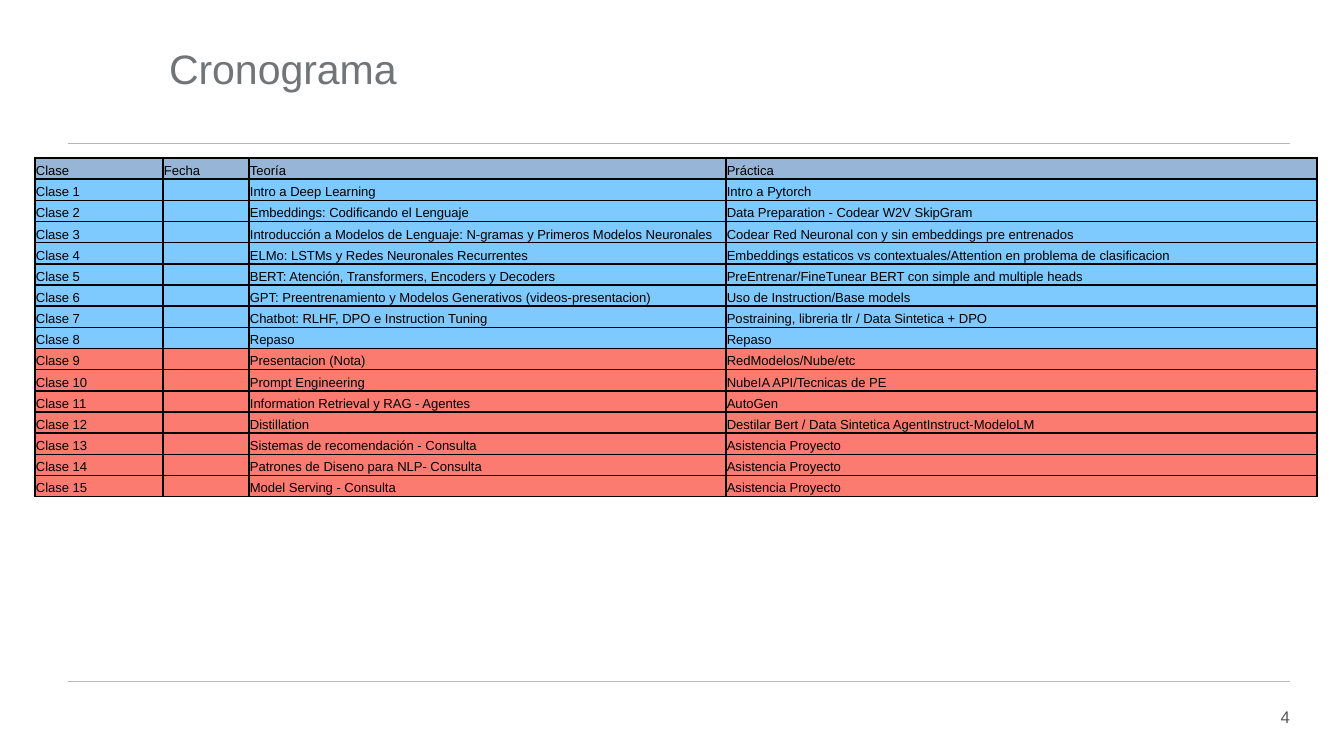
import pptx
import pptx.dml.color
import pptx.enum.shapes
import pptx.enum.text
import pptx.oxml.ns
import pptx.util
from lxml import etree

WIDTH, HEIGHT = 1344, 756
EMU_PER_PX = 914400 / 134.4

HEADER, THEORY_BLUE, PROJECT_RED = "97B5D7", "7EC9FE", "FB7B70"
BLACK, TITLE_GREY, NUMBER_GREY, RULE_GREY = "000000", "717578", "59595B", "B7B7BA"

HEADINGS = ("Clase", "Fecha", "Teoría", "Práctica")
COLUMN_WIDTHS = (128, 86, 477, 591)
BLUE_CLASSES = 8
CLASSES = [
    ("Intro a Deep Learning", "Intro a Pytorch"),
    ("Embeddings: Codificando el Lenguaje", "Data Preparation - Codear W2V SkipGram"),
    ("Introducción a Modelos de Lenguaje: N-gramas y Primeros Modelos Neuronales",
     "Codear Red Neuronal con y sin embeddings pre entrenados"),
    ("ELMo: LSTMs y Redes Neuronales Recurrentes",
     "Embeddings estaticos vs contextuales/Attention en problema de clasificacion"),
    ("BERT: Atención, Transformers, Encoders y Decoders",
     "PreEntrenar/FineTunear BERT con simple and multiple heads"),
    ("GPT: Preentrenamiento y Modelos Generativos (videos-presentacion)",
     "Uso de Instruction/Base models"),
    ("Chatbot: RLHF, DPO e Instruction Tuning",
     "Postraining, libreria tlr / Data Sintetica + DPO"),
    ("Repaso", "Repaso"),
    ("Presentacion (Nota)", "RedModelos/Nube/etc"),
    ("Prompt Engineering", "NubeIA API/Tecnicas de PE"),
    ("Information Retrieval y RAG - Agentes", "AutoGen"),
    ("Distillation", "Destilar Bert / Data Sintetica AgentInstruct-ModeloLM"),
    ("Sistemas de recomendación - Consulta", "Asistencia Proyecto"),
    ("Patrones de Diseno para NLP- Consulta", "Asistencia Proyecto"),
    ("Model Serving - Consulta", "Asistencia Proyecto"),
]


def px(length):
    return pptx.util.Emu(round(length * EMU_PER_PX))


def color(hex_code):
    return pptx.dml.color.RGBColor.from_string(hex_code)


def write(frame, text, size=7, hex_code=BLACK, align="LEFT", font="Arial"):
    """Fill a text frame with one formatted paragraph."""
    para = frame.paragraphs[0]
    para.alignment = getattr(pptx.enum.text.PP_ALIGN, align)
    if not text:
        # An empty paragraph takes its line height from its end mark
        end = etree.SubElement(para._p, pptx.oxml.ns.qn("a:endParaRPr"))
        end.set("sz", str(size * 100))
        return
    span = para.add_run()
    span.text = text
    span.font.name = font
    span.font.size = pptx.util.Pt(size)
    span.font.bold = False
    span.font.color.rgb = color(hex_code)


class SlideBuilder:
    def __init__(self, deck):
        self.page = deck.slides.add_slide(deck.slide_layouts[5])
        self.rule_width = pptx.util.Pt(0.5)
        self.border_width = pptx.util.Pt(1)
        self.cell_margin = px(1)

    def clear_frame(self, frame, wrap=True):
        frame.margin_left = frame.margin_right = 0
        frame.margin_top = frame.margin_bottom = 0
        frame.word_wrap = wrap
        frame.auto_size = pptx.enum.text.MSO_AUTO_SIZE.NONE
        frame.vertical_anchor = pptx.enum.text.MSO_ANCHOR.TOP

    def title(self, text, left, top, width, height):
        title = self.page.shapes.title
        title.left, title.top = px(left), px(top)
        title.width, title.height = px(width), px(height)
        self.clear_frame(title.text_frame)
        write(title.text_frame, text, size=22, hex_code=TITLE_GREY)

    def page_number(self, text, left, top, width, height):
        box = self.page.shapes.add_textbox(px(left), px(top), px(width), px(height))
        self.clear_frame(box.text_frame, wrap=False)
        write(box.text_frame, text, size=9, hex_code=NUMBER_GREY, align="RIGHT")

    def rule(self, left, right, y):
        line = self.page.shapes.add_connector(
            pptx.enum.shapes.MSO_CONNECTOR.STRAIGHT, px(left), px(y), px(right), px(y))
        line.line.color.rgb = color(RULE_GREY)
        line.line.width = self.rule_width
        etree.SubElement(line._element.spPr, pptx.oxml.ns.qn("a:effectLst"))

    def border(self, cell):
        properties = cell._tc.get_or_add_tcPr()
        for position, side in enumerate(("lnL", "lnR", "lnT", "lnB")):
            edge = etree.Element(pptx.oxml.ns.qn(f"a:{side}"), w=str(self.border_width))
            fill = etree.SubElement(edge, pptx.oxml.ns.qn("a:solidFill"))
            etree.SubElement(fill, pptx.oxml.ns.qn("a:srgbClr"), val=BLACK)
            properties.insert(position, edge)

    def cell(self, cell, text, fill):
        cell.fill.solid()
        cell.fill.fore_color.rgb = color(fill)
        cell.margin_left = cell.margin_right = self.cell_margin
        cell.margin_top = cell.margin_bottom = self.cell_margin
        cell.vertical_anchor = pptx.enum.text.MSO_ANCHOR.BOTTOM
        write(cell.text_frame, text)
        self.border(cell)

    def table(self, rows, fills, widths, left, top, height):
        table = self.page.shapes.add_table(
            len(rows), len(widths), px(left), px(top), px(sum(widths)), px(height)).table
        table.first_row = table.horz_banding = False
        for column, width in zip(table.columns, widths):
            column.width = px(width)
        for row, texts, fill in zip(table.rows, rows, fills):
            row.height = px(height / len(rows))
            for cell, text in zip(row.cells, texts):
                self.cell(cell, text, fill)


def main():
    deck = pptx.Presentation()
    deck.slide_width, deck.slide_height = px(WIDTH), px(HEIGHT)
    builder = SlideBuilder(deck)

    # Page frame: number and two rules
    builder.page_number("4", 1270, 707, 20, 20)
    for y in (144, 682):
        builder.rule(68, 1290, y)

    builder.title("Cronograma", 169, 43, 1121, 50)

    # Schedule: header, then one row per class
    rows = [HEADINGS]
    fills = [HEADER]
    for number, (theory, practice) in enumerate(CLASSES, start=1):
        rows.append((f"Clase {number}", "", theory, practice))
        fills.append(THEORY_BLUE if number <= BLUE_CLASSES else PROJECT_RED)
    builder.table(rows, fills, COLUMN_WIDTHS, left=35, top=158, height=339)

    deck.save("out.pptx")


if __name__ == "__main__":
    main()
